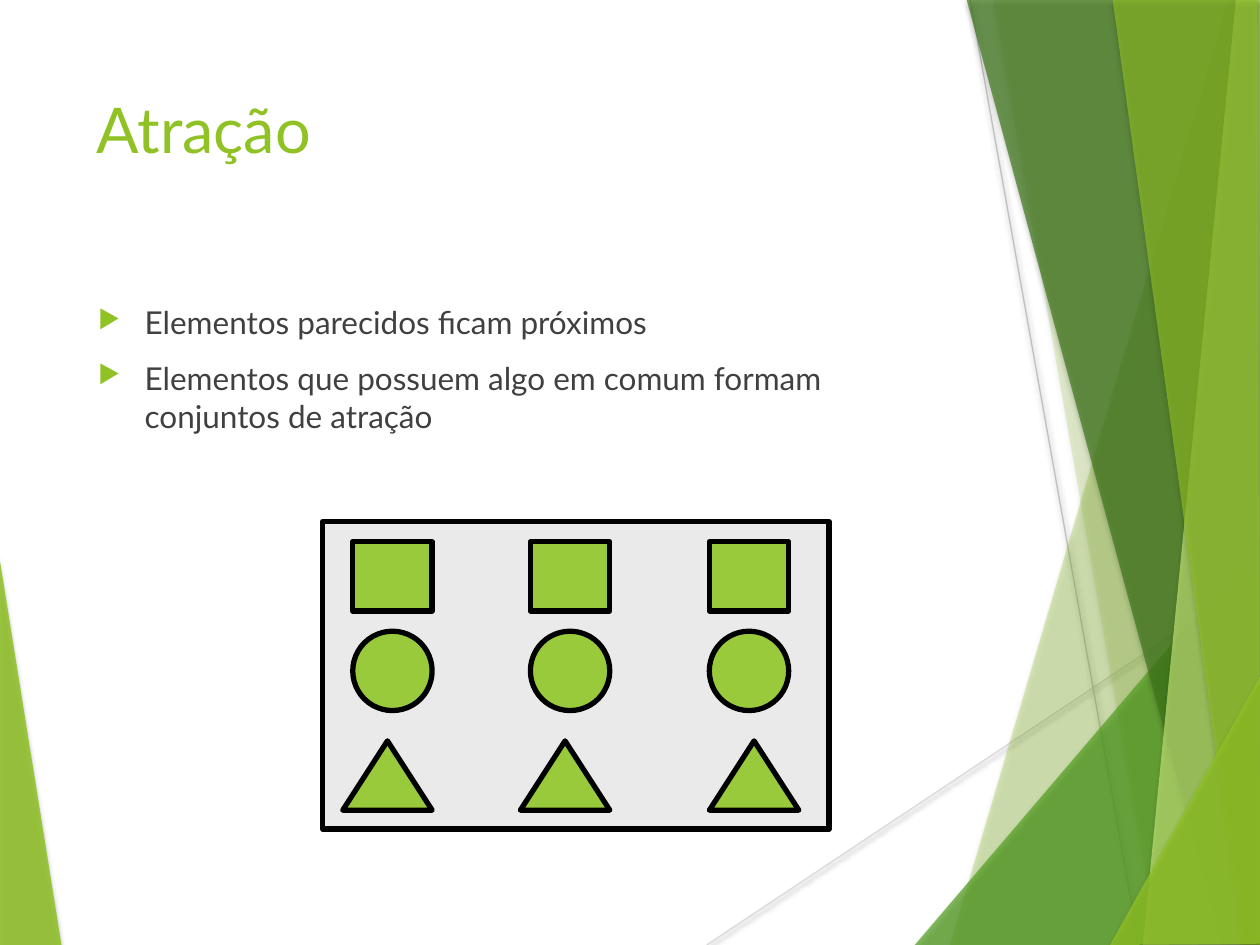
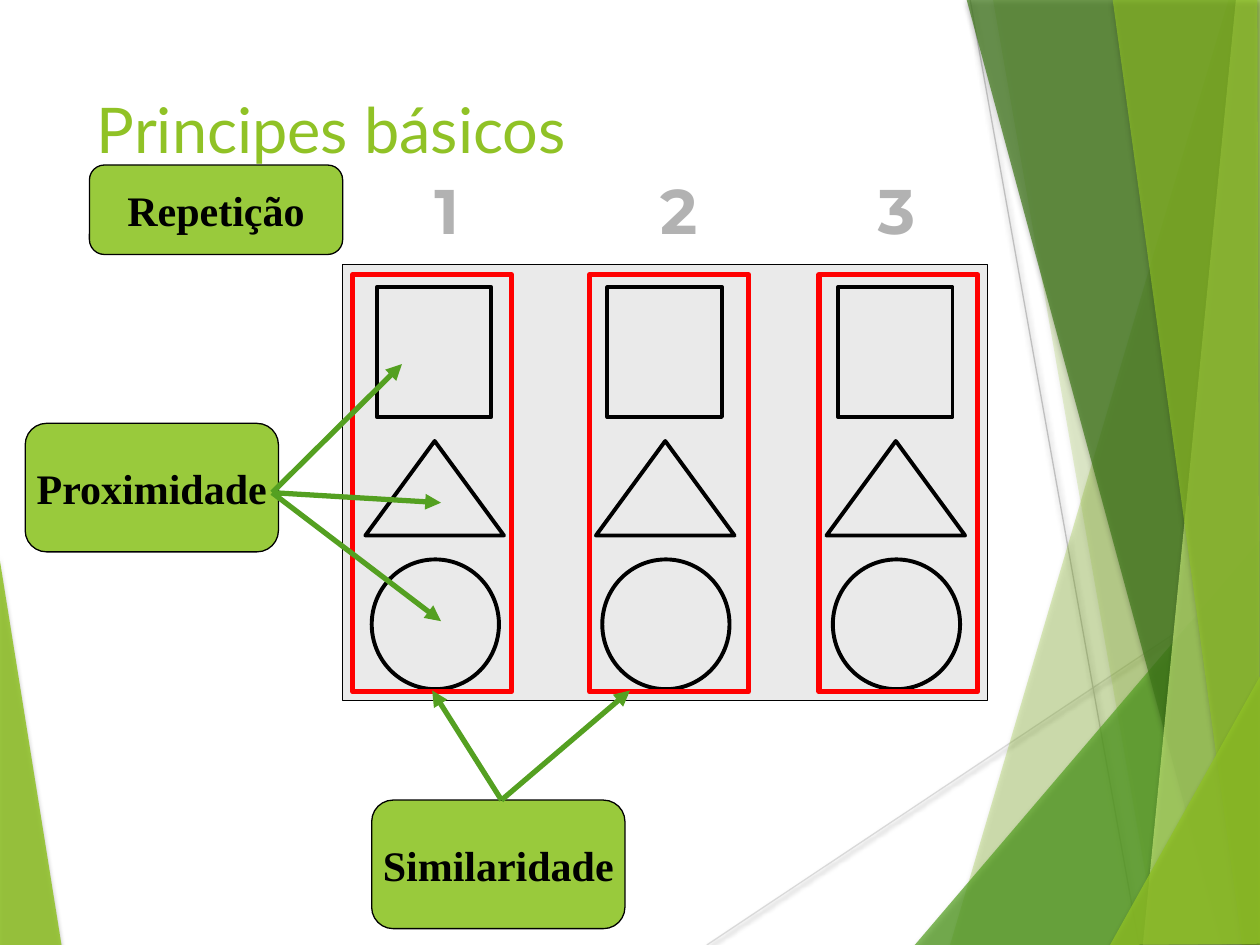
"""Build two slides on the visual principles of attraction and repetition."""
import dataclasses
import typing

import lxml.etree
import pptx
import pptx.dml.color
import pptx.enum.shapes
import pptx.enum.text
import pptx.oxml.ns
import pptx.util

Inches = pptx.util.Inches
Pt = pptx.util.Pt
KIND = pptx.enum.shapes.MSO_SHAPE
ALIGN = pptx.enum.text.PP_ALIGN
ANCHOR = pptx.enum.text.MSO_ANCHOR
qn = pptx.oxml.ns.qn

HUES = {
    "lime": "90C226", "green": "54A021", "forest": "3F7819", "pale": "C0E474",
    "item": "99CA3C", "panel": "EAEAEA", "black": "000000", "red": "FF0000",
    "body": "404040", "digit": "B2B2B2", "mist": "D9D9D9", "grey": "BFBFBF",
}
Point = tuple[float, float]


@dataclasses.dataclass(frozen=True)
class Shade:
    alpha: int
    blur: float
    dist: float


@dataclasses.dataclass(frozen=True)
class Facet:
    hue: str
    alpha: int
    points: tuple[Point, ...]


@dataclasses.dataclass(frozen=True)
class Line:
    start: Point
    end: Point
    hue: str = "green"
    width: float = 3
    arrow: bool = True
    shade: Shade | None = None


@dataclasses.dataclass(frozen=True)
class Row:
    kind: typing.Any
    lefts: tuple[float, ...]
    top: float
    width: float
    height: float
    fill: str | None
    hue: str = "black"
    weight: float = 3


@dataclasses.dataclass(frozen=True)
class Label:
    text: str
    left: float
    top: float
    height: float


SOFT = Shade(35, 3, 2)
FAINT = Shade(38, 3.1, 1.6)
LEAF = Facet("lime", 85, ((-0.01, 4.39), (0.49, 7.51), (-0.01, 7.5)))
RAYS = (
    Line((5.61, 7.5), (10.01, 4.57), "mist", 0.75, False, FAINT),
    Line((7.7, 0), (9.04, 7.5), "grey", 0.75, False, FAINT),
)
FACETS = (
    Facet("lime", 30, ((9.75, 0), (7.54, 7.5), (10.02, 7.51), (10.01, 0.01))),
    Facet("lime", 20, ((7.88, -0.01), (9.19, 7.5), (10.01, 7.5), (10.01, -0.01))),
    Facet("green", 72, ((7.26, 7.5), (10, 4.29), (10.01, 7.5))),
    Facet("forest", 70, ((7.67, -0.01), (9.7, 7.5), (10.01, 7.49), (10.01, -0.01))),
    Facet("pale", 70, ((9.81, -0.01), (9.07, 7.5), (10.01, 7.5), (10, -0.01))),
    Facet("lime", 65, ((8.83, -0.01), (9.86, 7.5), (10, 7.5), (9.98, -0.01))),
    Facet("lime", 80, ((8.81, 7.5), (10.01, 5.35), (10.01, 7.49))),
)


def steps(first: float, gap: float) -> tuple[float, ...]:
    return tuple(first + gap * i for i in range(3))


COLS = (2.8, 4.21, 5.63)
POOL = (
    Row(KIND.RECTANGLE, (2.56,), 4.14, 4.02, 2.44, "panel"),
    Row(KIND.RECTANGLE, COLS, 4.3, 0.63, 0.55, "item"),
    Row(KIND.OVAL, COLS, 5.01, 0.63, 0.63, "item"),
    Row(KIND.ISOSCELES_TRIANGLE, (2.72, 4.13, 5.63), 5.88, 0.71, 0.55, "item"),
)
GAP = 1.83
GRID = (
    Row(KIND.RECTANGLE, (2.72,), 2.1, 5.12, 3.46, "panel", weight=0.75),
    Row(KIND.RECTANGLE, steps(2.99, GAP), 2.28, 0.91, 1.03, "panel", weight=2.25),
    Row(KIND.ISOSCELES_TRIANGLE, steps(2.9, GAP), 3.5, 1.1, 0.75, "panel", weight=2.25),
    Row(KIND.OVAL, steps(2.95, GAP), 4.44, 1.01, 1.03, "panel", weight=2.25),
    Row(KIND.RECTANGLE, (2.8, 4.68, 6.5), 2.18, 1.26, 3.31, None, "red"),
)
LABELS = (
    Label("Proximidade", 0.2, 3.36, 1.02),
    Label("Similaridade", 2.95, 6.35, 1.02),
    Label("Repetição", 0.71, 1.31, 0.71),
)
NEAR = (2.16, 3.91)
LIKE = (3.98, 6.35)
ARROWS = (
    *(Line(NEAR, end) for end in ((3.19, 2.89), (3.5, 3.99), (3.5, 4.93))),
    *(Line(LIKE, end) for end in ((3.43, 5.48), (5, 5.48))),
)


def rgb(hue: str) -> pptx.dml.color.RGBColor:
    return pptx.dml.color.RGBColor.from_string(HUES[hue])


def add(node: typing.Any, tag: str, **attrs: typing.Any) -> typing.Any:
    return lxml.etree.SubElement(node, qn(tag), {k: str(v) for k, v in attrs.items()})


def cast(node: typing.Any, shade: Shade) -> None:
    outer = add(node, "a:outerShdw", blurRad=Pt(shade.blur), dist=Pt(shade.dist),
                dir=5400000, algn="ctr", rotWithShape=0)
    tint = add(outer, "a:srgbClr", val=HUES["black"])
    add(tint, "a:alpha", val=shade.alpha * 1000)


def paint(shape: typing.Any, fill: str | None, hue: str | None, weight: float = 0) -> None:
    shape.shadow.inherit = False
    if fill:
        shape.fill.solid()
        shape.fill.fore_color.rgb = rgb(fill)
    else:
        shape.fill.background()
    if hue:
        shape.line.color.rgb = rgb(hue)
        shape.line.width = Pt(weight)
    else:
        shape.line.fill.background()


def draw_facet(slide: typing.Any, facet: Facet) -> None:
    first, *rest = [(Inches(x), Inches(y)) for x, y in facet.points]
    pen = slide.shapes.build_freeform(*first)
    pen.add_line_segments(rest, close=True)
    shape = pen.convert_to_shape()
    paint(shape, facet.hue, None)
    props = shape._element.spPr
    add(props.find(qn("a:solidFill"))[0], "a:alpha", val=facet.alpha * 1000)
    cast(props.find(qn("a:effectLst")), SOFT)


def draw_line(slide: typing.Any, line: Line) -> None:
    ends = [Inches(n) for n in (*line.start, *line.end)]
    link = slide.shapes.add_connector(pptx.enum.shapes.MSO_CONNECTOR.STRAIGHT, *ends)
    link.line.color.rgb = rgb(line.hue)
    link.line.width = Pt(line.width)
    props = link._element.spPr
    if line.arrow:
        add(props.find(qn("a:ln")), "a:tailEnd", type="triangle")
    effects = add(props, "a:effectLst")
    if line.shade:
        cast(effects, line.shade)


def draw_row(slide: typing.Any, row: Row) -> None:
    for left in row.lefts:
        shape = slide.shapes.add_shape(row.kind, Inches(left), Inches(row.top),
                                       Inches(row.width), Inches(row.height))
        paint(shape, row.fill, row.hue, row.weight)


def style(para: typing.Any, face: str, size: int, hue: str, bold: bool = False) -> None:
    para.font.name = face
    para.font.size = Pt(size)
    para.font.bold = bold
    para.font.color.rgb = rgb(hue)


def draw_label(slide: typing.Any, label: Label) -> None:
    shape = slide.shapes.add_shape(KIND.ROUNDED_RECTANGLE, Inches(label.left),
                                   Inches(label.top), Inches(2.01), Inches(label.height))
    paint(shape, "item", "black", 0.75)
    frame = shape.text_frame
    frame.word_wrap = False
    frame.vertical_anchor = ANCHOR.MIDDLE
    para = frame.paragraphs[0]
    para.text = label.text
    para.alignment = ALIGN.CENTER
    style(para, "Times New Roman", 24, "black", True)


def add_text(slide: typing.Any, left: float, top: float, width: float,
             height: float, wrap: bool = True) -> typing.Any:
    box = slide.shapes.add_textbox(Inches(left), Inches(top), Inches(width), Inches(height))
    box.text_frame.word_wrap = wrap
    return box.text_frame


def draw_list(slide: typing.Any, items: tuple[str, ...]) -> None:
    frame = add_text(slide, 0.67, 2.36, 6.94, 1.5)
    for i, item in enumerate(items):
        para = frame.add_paragraph() if i else frame.paragraphs[0]
        para.text = item
        if i:
            para.space_before = Pt(10)
        props = para._p.get_or_add_pPr()
        props.set("marL", str(Inches(0.38)))
        props.set("indent", str(Inches(-0.37)))
        add(add(props, "a:buClr"), "a:srgbClr", val=HUES["lime"])
        add(props, "a:buSzPct", val=80000)
        add(props, "a:buChar", char="▶")
        style(para, "Lato", 18, "body")


def draw_digits(slide: typing.Any) -> None:
    for i, left in enumerate((3.35, 5.14, 6.87), 1):
        para = add_text(slide, left, 1.31, 0.33, 0.71, False).paragraphs[0]
        para.text = str(i)
        para.alignment = ALIGN.CENTER
        style(para, "Montserrat", 36, "digit", True)


def new_slide(deck: typing.Any, title: str) -> typing.Any:
    slide = deck.slides.add_slide(deck.slide_layouts[6])
    draw_facet(slide, LEAF)
    for ray in RAYS:
        draw_line(slide, ray)
    for facet in FACETS:
        draw_facet(slide, facet)
    para = add_text(slide, 0.67, 0.67, 6.94, 1.44).paragraphs[0]
    para.text = title
    style(para, "Lato", 36, "lime")
    return slide


def main() -> None:
    deck = pptx.Presentation()
    deck.slide_width, deck.slide_height = Inches(10), Inches(7.5)

    slide = new_slide(deck, "Atração")
    draw_list(slide, (
        "Elementos parecidos ficam próximos",
        "Elementos que possuem algo em comum formam conjuntos de atração",
    ))
    for row in POOL:
        draw_row(slide, row)

    slide = new_slide(deck, "Principes básicos")
    for label in LABELS:
        draw_label(slide, label)
    for row in GRID:
        draw_row(slide, row)
    for arrow in ARROWS:
        draw_line(slide, arrow)
    draw_digits(slide)
    deck.save("out.pptx")


if __name__ == "__main__":
    main()
